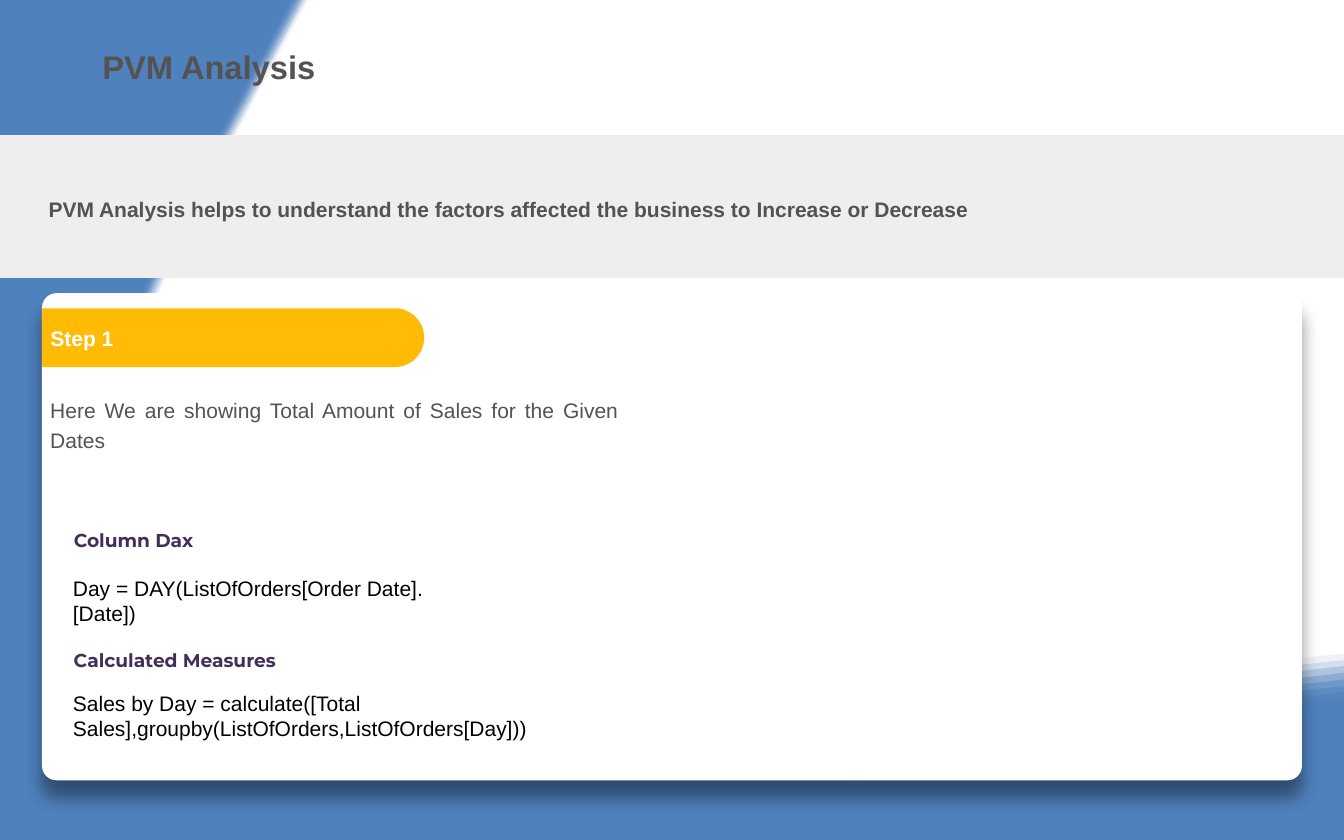
from lxml import etree
from pptx import Presentation
from pptx.dml.color import RGBColor
from pptx.enum.shapes import MSO_SHAPE
from pptx.enum.text import MSO_ANCHOR, PP_ALIGN
from pptx.oxml.ns import qn
from pptx.util import Inches, Pt

ROUND = MSO_SHAPE.ROUNDED_RECTANGLE
TAB = MSO_SHAPE.ROUND_2_SAME_RECTANGLE
TOP, MID = MSO_ANCHOR.TOP, MSO_ANCHOR.MIDDLE
LEFT, FULL = PP_ALIGN.LEFT, PP_ALIGN.JUSTIFY

BLUE = RGBColor(0x4F, 0x81, 0xBD)
GREY = RGBColor(0x54, 0x52, 0x52)
PALE = RGBColor(0xEE, 0xEE, 0xEE)
GOLD = RGBColor(0xFF, 0xBB, 0x05)
PLUM = RGBColor(0x42, 0x2E, 0x59)
WHITE = RGBColor(0xFF, 0xFF, 0xFF)
BLACK = RGBColor(0, 0, 0)

WIDE, HIGH = 16, 10
GRAIN = 100
BANDS = 11
INNER = [(3.18, 0), (3.18, 0), (2.88, 0.55), (2.35, 1.54), (-1.94, 9.49),
         (1.28, 10.06), (7.86, 9.51), (12.9, 9.09), (16, 8.74), (16, 8.74)]
NEAR = [(3.33, 0), (3.25, 0.15), (2.97, 0.69), (2.53, 1.52), (-1.71, 9.37),
        (1.47, 9.93), (7.97, 9.39), (12.57, 9.01), (15.58, 8.68), (16, 8.63)]
FAR = [(3.67, 0), (3.66, 0.01), (3.38, 0.53), (2.88, 1.46), (-0.88, 8.43),
       (1.93, 9.04), (8.28, 8.51), (13.03, 8.12), (15.97, 7.78), (16, 7.78)]


def area(box, x, y, w, h):
    left, top, wide, high = box
    return left + x * wide, top + y * high, w * wide, h * high


def place(shape, box):
    shape.left, shape.top, shape.width, shape.height = map(Inches, box)


def write(shape, text, size=18, font="Arial", color=GREY, bold=False,
          align=LEFT, anchor=TOP, lead=1.0, after=0):
    frame = shape.text_frame
    frame.word_wrap = True
    frame.vertical_anchor = anchor
    frame.text = text
    para = frame.paragraphs[0]
    para.alignment = align
    para.line_spacing = lead
    para.space_before, para.space_after = Pt(0), Pt(after)
    face = para.runs[0].font
    face.size, face.name, face.bold = Pt(size), font, bold
    face.color.rgb = color


def label(slide, box, text, **style):
    write(slide.shapes.add_textbox(*map(Inches, box)), text, **style)


def paint(shape, color):
    shape.shadow.inherit = False
    shape.fill.solid()
    shape.fill.fore_color.rgb = color
    shape.line.fill.background()


def block(slide, box, kind, color, *bends):
    shape = slide.shapes.add_shape(kind, *map(Inches, box))
    paint(shape, color)
    for spot, bend in enumerate(bends):
        shape.adjustments[spot] = bend
    return shape


def fade(node, share):
    etree.SubElement(node, qn("a:alpha"), val=str(round(share * 100000)))


def draw(trace, verb, dots):
    move = etree.SubElement(trace, qn(verb))
    for x, y in dots:
        etree.SubElement(move, qn("a:pt"), x=str(round(x * GRAIN)),
                         y=str(round(y * GRAIN)))


def bend(trace, verb, knots):
    draw(trace, verb, knots[:1])
    for k in range(1, len(knots), 3):
        draw(trace, "a:cubicBezTo", knots[k:k + 3])


def sheet(slide, share=1):
    wide, high = WIDE * GRAIN, HIGH * GRAIN
    pen = slide.shapes.build_freeform(0, 0, scale=Inches(1) / GRAIN)
    pen.add_line_segments([(wide, 0), (wide, high), (0, high)])
    shape = pen.convert_to_shape()
    paint(shape, BLUE)
    props = shape._element.spPr
    if share < 1:
        fade(next(props.iter(qn("a:srgbClr"))), share)
    trace = next(props.iter(qn("a:path")))
    for part in list(trace):
        trace.remove(part)
    return trace


def sweep(slide):
    base = sheet(slide)
    bend(base, "a:moveTo", INNER)
    for spot in ((WIDE, HIGH), (0, HIGH), (0, 0)):
        draw(base, "a:lnTo", [spot])
    etree.SubElement(base, qn("a:close"))
    for n in range(BANDS + 1):
        t = n / BANDS
        outer = [(p + (r - p) * t, q + (s - q) * t)
                 for (p, q), (r, s) in zip(FAR, NEAR)]
        band = sheet(slide, min(1, (n + 1) / BANDS))
        bend(band, "a:moveTo", outer)
        bend(band, "a:lnTo", INNER[::-1])
        etree.SubElement(band, qn("a:close"))


def head(slide, box):
    title = slide.shapes.title
    slide.shapes._spTree.append(title._element)
    place(title, area(box, 0.07, 0, 0.81, 1))
    write(title, "PVM Analysis", size=28, bold=True, align=FULL,
          anchor=MID, lead=1.2, after=6)


def strip(slide, box):
    block(slide, box, ROUND, PALE, 0)
    label(slide, area(box, 0.03, 0.36, 0.94, 0.28),
          "PVM Analysis helps to understand the factors affected the business "
          "to Increase or Decrease",
          bold=True, align=FULL, anchor=MID, lead=1.2, after=6)


def shade(shape):
    glow = shape._element.spPr.find(qn("a:effectLst"))
    cast = etree.SubElement(glow, qn("a:outerShdw"), blurRad=str(Pt(14)),
                            dist=str(Pt(15)), dir="5400000", algn="t",
                            rotWithShape="0")
    fade(etree.SubElement(cast, qn("a:srgbClr"), val="000000"), 0.4)


def step(slide, box, text):
    left, top, wide, high = box
    gap = (wide - high) / 2
    tab = block(slide, (left + gap, top - gap, high, wide), TAB, GOLD, 0.5, 0)
    tab.rotation = 90
    write(tab, text, color=WHITE, bold=True, anchor=MID)
    frame = tab.text_frame
    frame.margin_left = frame.margin_right = Inches(0.1)
    frame.margin_top = frame.margin_bottom = Inches(0.1)
    frame._txBody.bodyPr.set("vert", "vert270")


def code(slide, box, name, text, gap, wide):
    left, top, _, high = box
    label(slide, box, name, size=16, font="Montserrat", color=PLUM,
          bold=True, anchor=MID, lead=1.1)
    label(slide, (left - 0.01, top + high + gap, wide, 0.7), text, color=BLACK)


def card(slide, box):
    shade(block(slide, box, ROUND, WHITE, 0.03))
    left, top, _, _ = box
    step(slide, (left, top + 0.18, 4.55, 0.7), "Step 1")
    label(slide, (left, top + 1.13, 6.96, 0.82),
          "Here We are showing Total Amount of Sales for the Given Dates",
          align=FULL, lead=1.2, after=6)
    code(slide, (left + 0.28, top + 2.73, 1.75, 0.4), "Column Dax",
         "Day = DAY(ListOfOrders[Order Date].[Date])", 0.18, 4.73)
    code(slide, (left + 0.28, top + 4.19, 2.7, 0.32), "Calculated Measures",
         "Sales by Day = calculate([Total Sales],"
         "groupby(ListOfOrders,ListOfOrders[Day]))", 0.17, 6.69)


def main():
    deck = Presentation()
    deck.slide_width, deck.slide_height = Inches(WIDE), Inches(HIGH)
    slide = deck.slides.add_slide(deck.slide_layouts[5])
    sweep(slide)
    head(slide, (0, 0, WIDE, 1.5))
    strip(slide, (0, 1.61, WIDE, 1.7))
    card(slide, (0.5, 3.49, 15, 5.8))
    deck.save("out.pptx")


if __name__ == "__main__":
    main()
